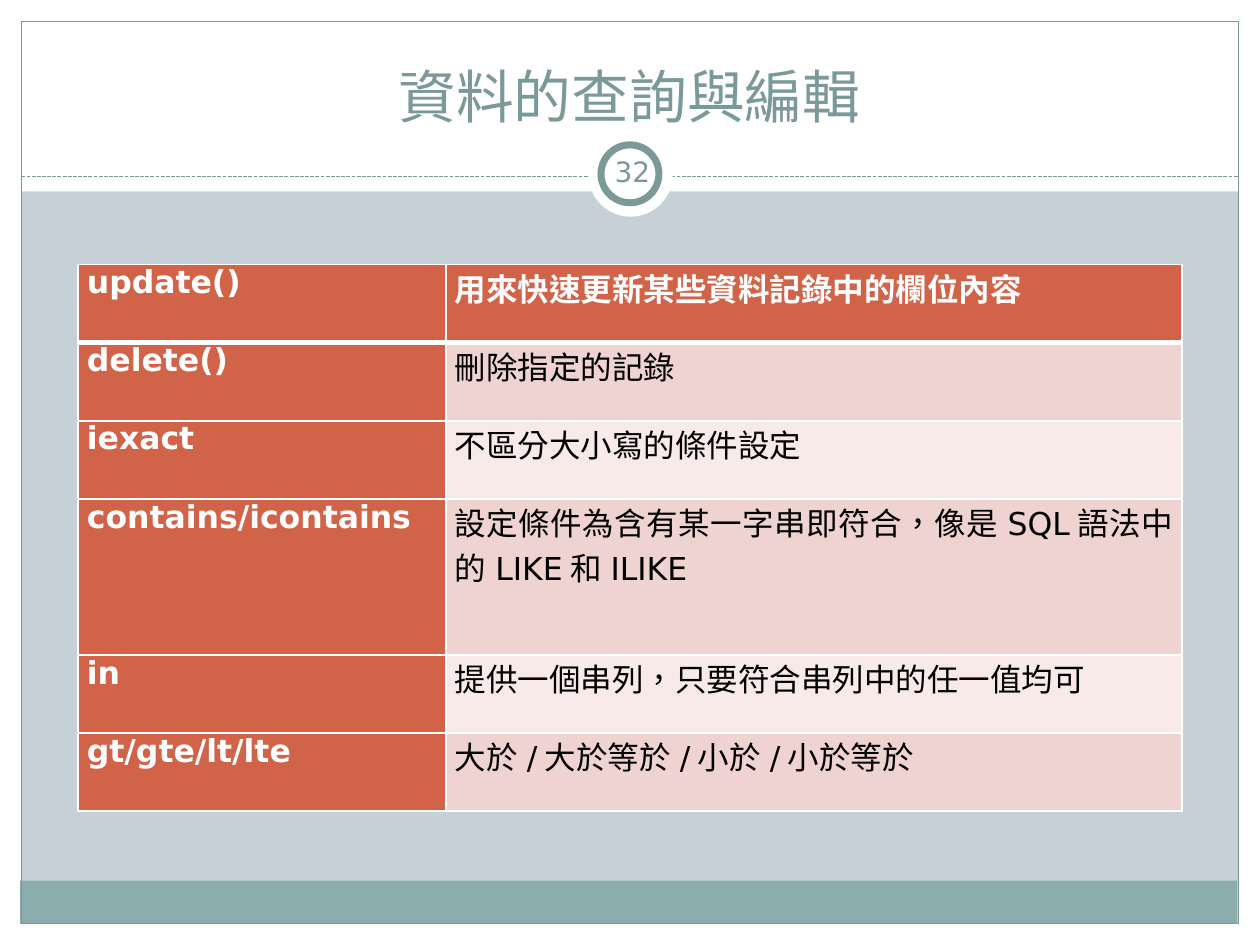
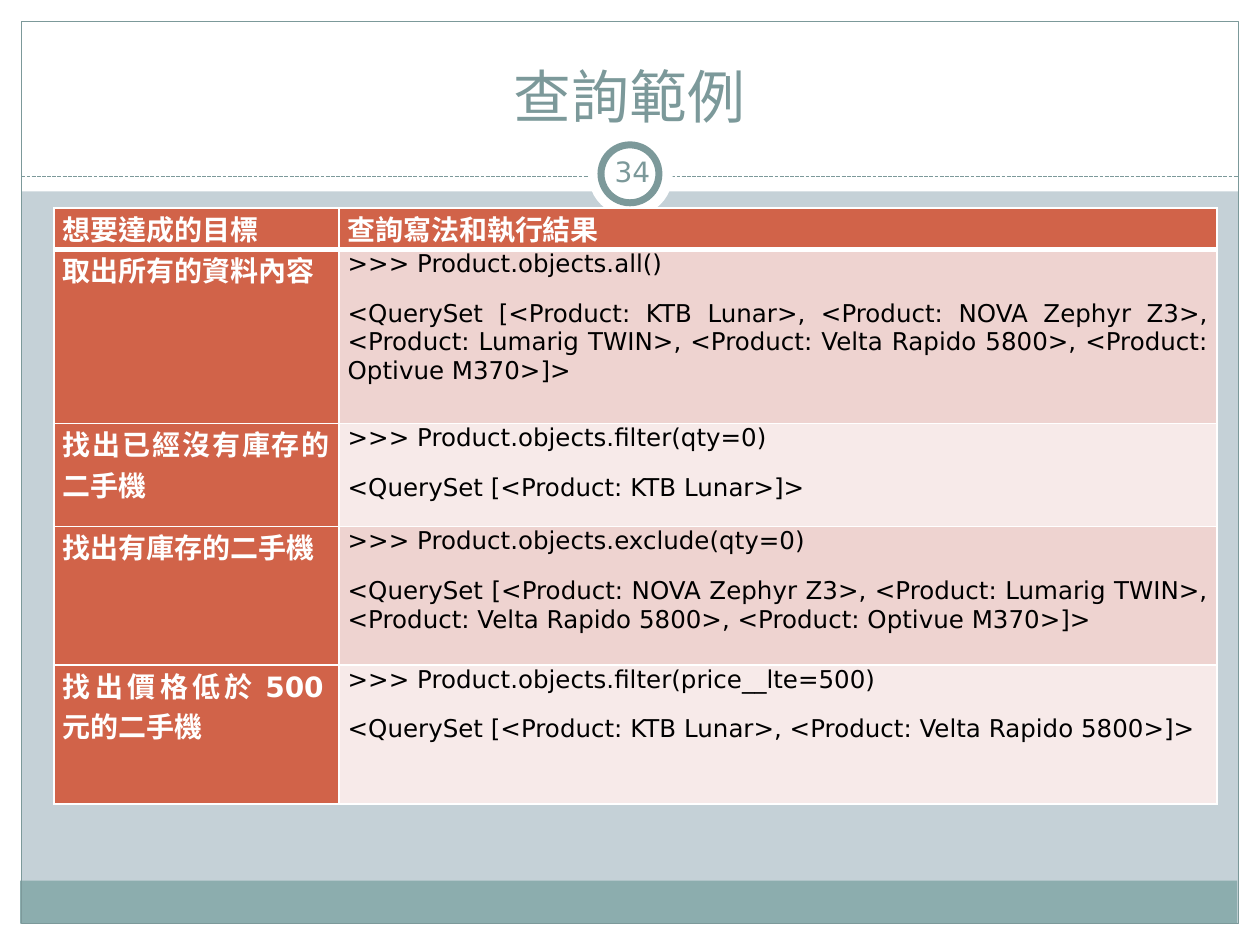
from dataclasses import dataclass
from typing import Optional

from lxml.etree import SubElement
from pptx import Presentation
from pptx.dml.color import RGBColor
from pptx.enum.dml import MSO_LINE
from pptx.enum.lang import MSO_LANGUAGE_ID
from pptx.enum.shapes import MSO_CONNECTOR, MSO_SHAPE
from pptx.enum.text import MSO_ANCHOR, MSO_AUTO_SIZE, PP_ALIGN
from pptx.oxml.ns import qn
from pptx.slide import Slide
from pptx.table import _Cell
from pptx.text.text import TextFrame
from pptx.util import Emu, Pt

PX = 9144  # EMU per px, 100 px to the inch
FONT = "DejaVu Sans"
TITLE_ONLY_LAYOUT = 5

WHITE = RGBColor(0xFF, 0xFF, 0xFF)
BLACK = RGBColor(0x00, 0x00, 0x00)
BACKDROP = RGBColor(0xC5, 0xD1, 0xD7)
SLATE = RGBColor(0x7C, 0x99, 0x9A)
TEAL = RGBColor(0x8C, 0xAD, 0xAE)
RUST = RGBColor(0xD1, 0x63, 0x49)
BANDS = (RGBColor(0xF7, 0xEA, 0xE9), RGBColor(0xEE, 0xD3, 0xD0))


@dataclass(frozen=True)
class Box:
    left: int
    top: int
    width: int
    height: int

    def emu(self) -> tuple[Emu, Emu, Emu, Emu]:
        return px(self.left), px(self.top), px(self.width), px(self.height)


@dataclass(frozen=True)
class Panel:
    box: Box
    fill: Optional[RGBColor] = WHITE
    outline: float = 0
    preset: MSO_SHAPE = MSO_SHAPE.RECTANGLE


@dataclass(frozen=True)
class TextStyle:
    size: int
    color: RGBColor
    bold: bool = False
    align: PP_ALIGN = PP_ALIGN.CENTER
    spacing: int = 0


@dataclass(frozen=True)
class ReferencePage:
    title: str
    number: int
    left: int
    top: int
    columns: tuple[int, ...]
    row_heights: tuple[int, ...]
    label_size: int
    detail_size: int
    rows: tuple[tuple[str, str], ...]  # a line break starts a new paragraph


FRAME = (
    Panel(Box(0, 733, 1000, 17)),
    Panel(Box(0, 0, 1000, 152)),
    Panel(Box(0, 0, 17, 750)),
    Panel(Box(983, 0, 17, 750)),
    Panel(Box(16, 699, 966, 34), TEAL),
    Panel(Box(17, 17, 966, 716), None, 0.75),
)
BADGE = (
    Panel(Box(467, 105, 67, 67), preset=MSO_SHAPE.OVAL),
    Panel(Box(477, 115, 46, 46), outline=4, preset=MSO_SHAPE.OVAL),
)
DIVIDER_Y = 140
TITLE_BOX = Box(33, 25, 933, 83)
NUMBER_BOX = Box(477, 112, 50, 48)
TITLE_STYLE = TextStyle(33, SLATE)
NUMBER_STYLE = TextStyle(16, SLATE)

LUNAR = "<Product: KTB Lunar>"
ZEPHYR = "<Product: NOVA Zephyr Z3>"
TWIN = "<Product: Lumarig TWIN>"
RAPIDO = "<Product: Velta Rapido 5800>"
OPTIVUE = "<Product: Optivue M370>"


def query(call: str, *products: str) -> str:
    """Shell prompt line followed by the result it prints."""
    return f">>> Product.objects.{call}\n<QuerySet [{', '.join(products)}]>"


PAGES = (
    ReferencePage(
        "資料的查詢與編輯", 32, 62, 210, (292, 584),
        (62, 62, 62, 124, 62, 62), 18, 18,
        (
            ("update()", "用來快速更新某些資料記錄中的欄位內容"),
            ("delete()", "刪除指定的記錄"),
            ("iexact", "不區分大小寫的條件設定"),
            ("contains/icontains",
             "設定條件為含有某一字串即符合，像是SQL語法中的LIKE和ILIKE"),
            ("in", "提供一個串列，只要符合串列中的任一值均可"),
            ("gt/gte/lt/lte", "大於/大於等於/小於/小於等於"),
        ),
    ),
    ReferencePage(
        "查詢範例", 34, 43, 165, (226, 697),
        (33, 138, 82, 110, 110), 16, 14,
        (
            ("想要達成的目標", "查詢寫法和執行結果"),
            ("取出所有的資料內容",
             query("all()", LUNAR, ZEPHYR, TWIN, RAPIDO, OPTIVUE)),
            ("找出已經沒有庫存的二手機", query("filter(qty=0)", LUNAR)),
            ("找出有庫存的二手機",
             query("exclude(qty=0)", ZEPHYR, TWIN, RAPIDO, OPTIVUE)),
            ("找出價格低於500元的二手機",
             query("filter(price__lte=500)", LUNAR, RAPIDO)),
        ),
    ),
)


def px(length: int) -> Emu:
    return Emu(length * PX)


def write(frame: TextFrame, text: str, style: TextStyle) -> None:
    for index, line in enumerate(text.split("\n")):
        paragraph = frame.add_paragraph() if index else frame.paragraphs[0]
        paragraph.alignment = style.align
        paragraph.space_before = paragraph.space_after = Pt(style.spacing)
        run = paragraph.add_run()
        run.text = line
        font = run.font
        font.name, font.size, font.bold = FONT, Pt(style.size), style.bold
        font.color.rgb = style.color
        font.language_id = MSO_LANGUAGE_ID.TRADITIONAL_CHINESE


def draw_panel(slide: Slide, panel: Panel) -> None:
    shape = slide.shapes.add_shape(panel.preset, *panel.box.emu())
    shape.shadow.inherit = False
    if panel.fill is None:
        shape.fill.background()
    else:
        shape.fill.solid()
        shape.fill.fore_color.rgb = panel.fill
    if panel.outline:
        shape.line.color.rgb = SLATE
        shape.line.width = Pt(panel.outline)
    else:
        shape.line.fill.background()


def draw_divider(slide: Slide) -> None:
    divider = slide.shapes.add_connector(
        MSO_CONNECTOR.STRAIGHT, px(17), px(DIVIDER_Y), px(983), px(DIVIDER_Y))
    divider.line.color.rgb = SLATE
    divider.line.width = Pt(0.75)
    divider.line.dash_style = MSO_LINE.SQUARE_DOT
    SubElement(divider.element.spPr, qn("a:effectLst"))


def draw_frame(slide: Slide) -> None:
    slide.background.fill.solid()
    slide.background.fill.fore_color.rgb = BACKDROP
    for panel in FRAME:
        draw_panel(slide, panel)
    draw_divider(slide)
    for panel in BADGE:
        draw_panel(slide, panel)


def place_title(slide: Slide, text: str) -> None:
    """Fill the title placeholder and lift it above the white bands."""
    title = slide.shapes.title
    title.left, title.top, title.width, title.height = TITLE_BOX.emu()
    frame = title.text_frame
    frame.auto_size = MSO_AUTO_SIZE.NONE
    frame.word_wrap = True
    frame.vertical_anchor = MSO_ANCHOR.BOTTOM
    write(frame, text, TITLE_STYLE)
    title.element.getparent().append(title.element)


def place_number(slide: Slide, number: int) -> None:
    frame = slide.shapes.add_textbox(*NUMBER_BOX.emu()).text_frame
    frame.word_wrap = True
    frame.vertical_anchor = MSO_ANCHOR.MIDDLE
    frame.margin_left = frame.margin_right = px(5)
    frame.margin_top = frame.margin_bottom = px(5)
    write(frame, str(number), NUMBER_STYLE)


def rule_cell(cell: _Cell, row: int) -> None:
    """White borders, thicker between the heading row and the rest."""
    properties = cell._tc.get_or_add_tcPr()
    widths = {"L": 1, "R": 1, "T": 3 if row == 1 else 1, "B": 3 if row == 0 else 1}
    for side, width in widths.items():
        border = SubElement(properties, qn(f"a:ln{side}"), w=str(Pt(width)))
        fill = SubElement(border, qn("a:solidFill"))
        SubElement(fill, qn("a:srgbClr"), val=str(WHITE))


def fill_cell(cell: _Cell, row: int, column: int, text: str, page: ReferencePage) -> None:
    is_label = row == 0 or column == 0
    rule_cell(cell, row)
    cell.fill.solid()
    cell.fill.fore_color.rgb = RUST if is_label else BANDS[row % 2]
    cell.margin_left = cell.margin_right = px(7)
    cell.margin_top = cell.margin_bottom = 0
    style = TextStyle(
        page.label_size if is_label else page.detail_size,
        WHITE if is_label else BLACK, is_label, PP_ALIGN.JUSTIFY, 6)
    write(cell.text_frame, text, style)


def place_table(slide: Slide, page: ReferencePage) -> None:
    box = Box(page.left, page.top, sum(page.columns), sum(page.row_heights))
    table = slide.shapes.add_table(
        len(page.rows), len(page.columns), *box.emu()).table
    for column, width in zip(table.columns, page.columns):
        column.width = px(width)
    for row, height in zip(table.rows, page.row_heights):
        row.height = px(height)
    for row, texts in enumerate(page.rows):
        for column, text in enumerate(texts):
            fill_cell(table.cell(row, column), row, column, text, page)


def main() -> None:
    presentation = Presentation()
    presentation.slide_width, presentation.slide_height = px(1000), px(750)
    layout = presentation.slide_layouts[TITLE_ONLY_LAYOUT]
    for page in PAGES:
        slide = presentation.slides.add_slide(layout)
        draw_frame(slide)
        place_title(slide, page.title)
        place_number(slide, page.number)
        place_table(slide, page)
    presentation.save("out.pptx")


if __name__ == "__main__":
    main()
